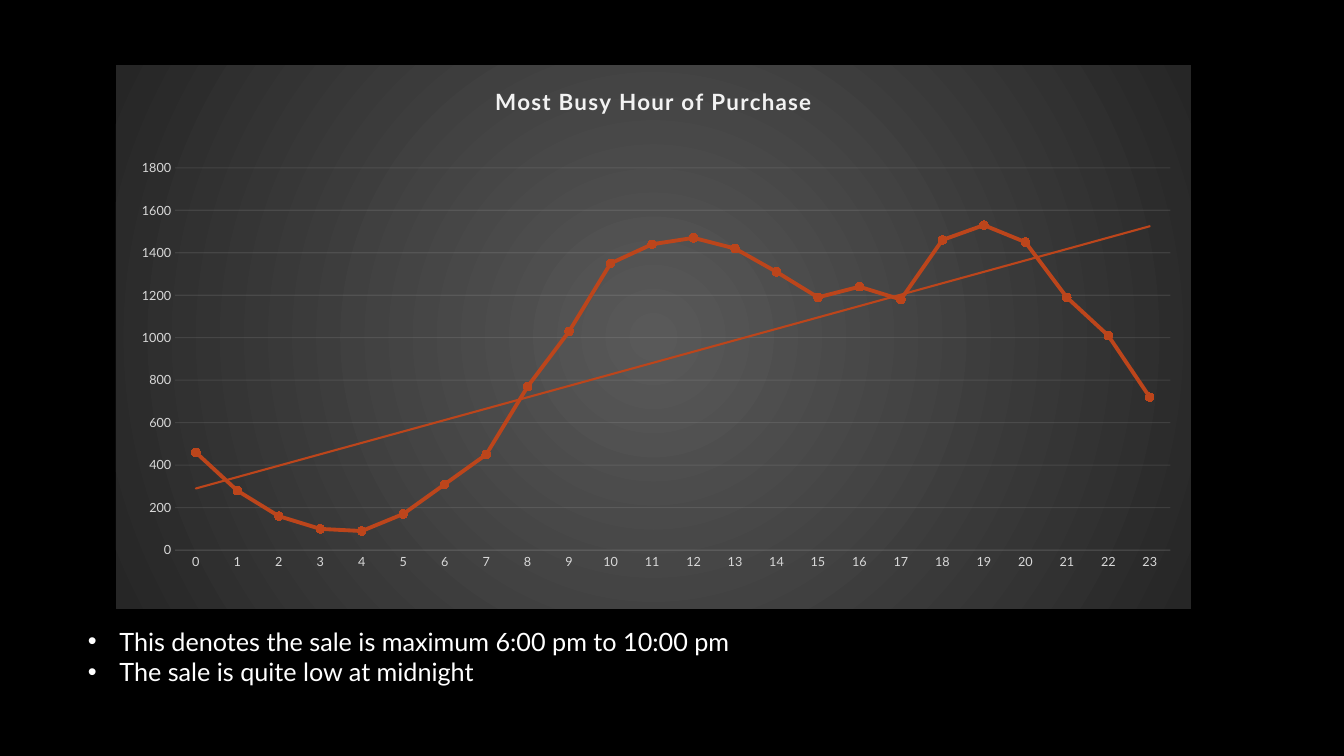
"""Build a slide with an hourly purchase line chart and two remarks."""
from pptx import Presentation
from pptx.chart.data import CategoryChartData
from pptx.dml.color import RGBColor
from pptx.enum.chart import XL_CHART_TYPE as ChartType
from pptx.enum.chart import XL_MARKER_STYLE as MarkerStyle
from pptx.enum.chart import XL_TICK_MARK as TickMark
from pptx.enum.text import MSO_AUTO_SIZE as AutoSize
from pptx.oxml import parse_xml
from pptx.oxml.ns import nsdecls, qn
from pptx.util import Emu, Pt

FONT = "Lato"
COLORS = {
    "page": "000000",
    "text": "FFFFFF",
    "title": "F2F2F2",
    "labels": "D9D9D9",
    "grid": "F2F2F2",
    "glow": "595959",
    "edge": "262626",
    "series": "BC451B",
    "marker": "C44113",
}
PURCHASES = [460, 280, 160, 100, 90, 170, 310, 450, 770, 1030, 1350, 1440,
             1470, 1420, 1310, 1190, 1240, 1180, 1460, 1530, 1450, 1190, 1010, 720]
REMARKS = ["This denotes the sale is maximum 6:00 pm to 10:00 pm",
           "The sale is quite low at midnight"]
PLOT = {"x": 0.055, "y": 0.189, "w": 0.926, "h": 0.703}


def px(length):
    """Turn pixels into EMU."""
    return Emu(round(length * 914400 / 100.8))


def rgb(name):
    """Look up a named colour."""
    return RGBColor.from_string(COLORS[name])


def style_font(font, size, color, bold=False):
    """Set typeface, size, weight and colour."""
    font.name, font.size, font.bold = FONT, Pt(size), bold
    font.color.rgb = rgb(color)


def style_faint_line(line):
    """Make a thin line of ten percent opacity."""
    line.width = Pt(0.75)
    line.color.rgb = rgb("grid")
    color = line.fill._xPr.find(".//" + qn("a:srgbClr"))
    color.append(parse_xml(f'<a:alpha {nsdecls("a")} val="10000"/>'))


def style_axis(axis):
    """Set labels and drop the tick marks."""
    axis.major_tick_mark = axis.minor_tick_mark = TickMark.NONE
    style_font(axis.tick_labels.font, 9, "labels")


def style_title(chart, text):
    """Write the chart title with wide letter spacing."""
    frame = chart.chart_title.text_frame
    frame.text = text
    span = frame.paragraphs[0].runs[0]
    style_font(span.font, 16, "title", bold=True)
    span.font._element.set("spc", "100")


def fill_chart(chart):
    """Give the chart area a radial gradient."""
    stops = "".join(
        f'<a:gs pos="{position}"><a:srgbClr val="{COLORS[name]}"/></a:gs>'
        for position, name in ((0, "glow"), (100000, "edge")))
    area = parse_xml(
        f'<c:spPr {nsdecls("c", "a")}><a:gradFill><a:gsLst>{stops}</a:gsLst>'
        '<a:path path="circle"><a:fillToRect l="50000" t="50000" r="50000" b="50000"/>'
        '</a:path></a:gradFill><a:ln><a:noFill/></a:ln></c:spPr>')
    chart._chartSpace.find(qn("c:chart")).addnext(area)


def place_plot(chart):
    """Fix the inner plot area within the chart."""
    plot_area = chart._chartSpace.find(".//" + qn("c:plotArea"))
    for layout in plot_area.findall(qn("c:layout")):
        plot_area.remove(layout)
    sizes = "".join(f'<c:{key} val="{value}"/>' for key, value in PLOT.items())
    plot_area.insert(0, parse_xml(
        f'<c:layout {nsdecls("c")}><c:manualLayout><c:layoutTarget val="inner"/>'
        f'<c:xMode val="edge"/><c:yMode val="edge"/>{sizes}</c:manualLayout></c:layout>'))


def style_series(series):
    """Set the line and markers and add a linear trend."""
    series.smooth = False
    series.format.line.width = Pt(2.75)
    series.format.line.color.rgb = rgb("series")
    marker = series.marker
    marker.style, marker.size = MarkerStyle.CIRCLE, 6
    marker.format.fill.solid()
    marker.format.fill.fore_color.rgb = rgb("marker")
    marker.format.line.color.rgb = rgb("series")
    series._element.find(qn("c:cat")).addprevious(parse_xml(
        f'<c:trendline {nsdecls("c", "a")}><c:spPr><a:ln w="{Pt(1.5)}" cap="rnd">'
        f'<a:solidFill><a:srgbClr val="{COLORS["series"]}"/></a:solidFill></a:ln></c:spPr>'
        '<c:trendlineType val="linear"/><c:dispRSqr val="0"/><c:dispEq val="0"/>'
        '</c:trendline>'))


def add_hour_chart(page, left, top, width, height):
    """Add the line chart of purchases by hour."""
    data = CategoryChartData()
    data.categories = [str(hour) for hour in range(len(PURCHASES))]
    data.add_series("Series 1", PURCHASES)
    chart = page.shapes.add_chart(ChartType.LINE_MARKERS, px(left), px(top),
                                  px(width), px(height), data).chart
    chart.has_legend = False
    style_font(chart.font, 10, "text")
    style_title(chart, "Most Busy Hour of Purchase")
    hours, counts = chart.category_axis, chart.value_axis
    style_axis(hours)
    style_axis(counts)
    style_faint_line(hours.format.line)
    counts.format.line.fill.background()
    style_faint_line(counts.major_gridlines.format.line)
    counts.minimum_scale, counts.maximum_scale, counts.major_unit = 0, 1800, 200
    chart.plots[0].vary_by_categories = False
    style_series(chart.plots[0].series[0])
    place_plot(chart)
    fill_chart(chart)


def add_bullets(page, lines, left, top, width, height):
    """Add a text box of bulleted lines."""
    box = page.shapes.add_textbox(px(left), px(top), px(width), px(height))
    frame = box.text_frame
    frame.word_wrap = True
    frame.auto_size = AutoSize.SHAPE_TO_FIT_TEXT
    frame.text = "\n".join(lines)
    for para in frame.paragraphs:
        style_font(para.runs[0].font, 18, "text")
        properties = para._p.get_or_add_pPr()
        properties.set("marL", str(Pt(22.5)))
        properties.set("indent", str(-Pt(22.5)))
        properties.append(parse_xml(f'<a:buFont {nsdecls("a")} typeface="Arial"/>'))
        properties.append(parse_xml(f'<a:buChar {nsdecls("a")} char="•"/>'))


def main():
    """Build and save the deck."""
    deck = Presentation()
    deck.slide_width, deck.slide_height = px(1344), px(756)
    page = deck.slides.add_slide(deck.slide_layouts[6])
    page.background.fill.solid()
    page.background.fill.fore_color.rgb = rgb("page")
    add_hour_chart(page, 116, 65, 1075, 544)
    add_bullets(page, REMARKS, 78, 621, 1165, 72)
    deck.save("out.pptx")


if __name__ == "__main__":
    main()
